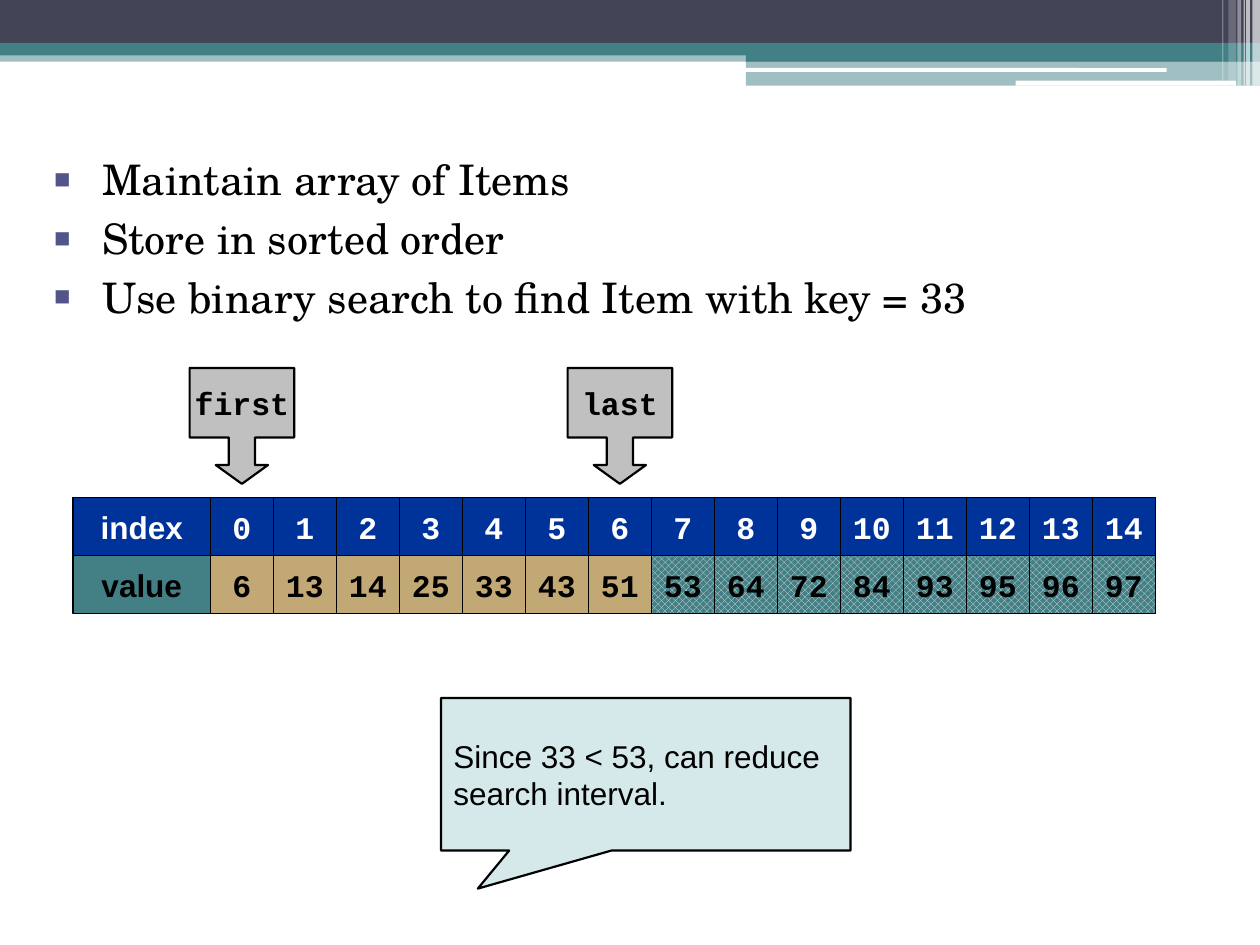
from dataclasses import dataclass

from pptx import Presentation
from pptx.dml.color import RGBColor
from pptx.enum.dml import MSO_PATTERN_TYPE as Pattern
from pptx.enum.shapes import MSO_SHAPE as Shape
from pptx.enum.text import MSO_ANCHOR as Anchor, MSO_AUTO_SIZE as AutoSize, PP_ALIGN as Align
from pptx.oxml.ns import qn
from pptx.util import Inches, Pt
from lxml.etree import SubElement

BLACK = RGBColor(0x00, 0x00, 0x00)
WHITE = RGBColor(0xFF, 0xFF, 0xFF)
SLATE = RGBColor(0x42, 0x44, 0x56)
TEAL = RGBColor(0x43, 0x80, 0x86)
NAVY = RGBColor(0x00, 0x33, 0x99)
TAN = RGBColor(0xC2, 0xA8, 0x74)
HATCH = RGBColor(0xDE, 0xDE, 0xDE)
SILVER = RGBColor(0xC0, 0xC0, 0xC0)
PALE_TEAL = RGBColor(0xD6, 0xE9, 0xEA)
BULLET = RGBColor(0x53, 0x54, 0x8A)

SANS, MONO, SERIF = "Arial", "Courier New", "TeX Gyre Schola"

VALUES = [6, 13, 14, 25, 33, 43, 51, 53, 64, 72, 84, 93, 95, 96, 97]
FIRST, LAST = 0, 6
LABEL_LEFT, LABEL_WIDTH = 0.58, 1.09
GRID_LEFT, CELL_WIDTH = 1.67, 0.5
INDEX_TOP, VALUE_TOP, CELL_HEIGHT = 3.95, 4.41, 0.46
BULLETS = [
    "Maintain array of Items",
    "Store in sorted order",
    "Use binary search to find Item with key = 33",
]


@dataclass(frozen=True)
class Frame:
    left: float
    top: float
    width: float
    height: float


@dataclass(frozen=True)
class Band:
    frame: Frame
    color: RGBColor
    opacity: int = 100
    kind: Shape = Shape.RECTANGLE


BANDS = [
    Band(Frame(0, 0.4, 10, 0.09), TEAL, 50),
    Band(Frame(0, 0, 10, 0.34), SLATE),
    Band(Frame(0, 0.34, 10, 0.1), TEAL),
    Band(Frame(5.92, 0.39, 4.08, 0.1), TEAL),
    Band(Frame(5.92, 0.48, 4.08, 0.2), TEAL, 50),
    Band(Frame(5.91, 0.54, 3.35, 0.03), WHITE, kind=Shape.ROUNDED_RECTANGLE),
    Band(Frame(8.06, 0.64, 1.75, 0.04), WHITE, kind=Shape.ROUNDED_RECTANGLE),
    Band(Frame(9.94, 0, 0.06, 0.68), WHITE, 65),
    Band(Frame(9.89, 0, 0.03, 0.68), WHITE, 65),
    Band(Frame(9.87, 0, 0.01, 0.68), WHITE, 60),
    Band(Frame(9.82, 0, 0.03, 0.68), WHITE, 40),
    Band(Frame(9.75, 0, 0.06, 0.64), WHITE, 20),
    Band(Frame(9.7, 0, 0.01, 0.64), WHITE, 30),
]


def place(box, frame: Frame) -> None:
    box.left, box.top = Inches(frame.left), Inches(frame.top)
    box.width, box.height = Inches(frame.width), Inches(frame.height)


def add_box(page, kind: Shape, frame: Frame, color: RGBColor):
    box = page.shapes.add_shape(kind, 0, 0, 0, 0)
    place(box, frame)
    box.shadow.inherit = False
    box.fill.solid()
    box.fill.fore_color.rgb = color
    return box


def draw_band(page, band: Band) -> None:
    box = add_box(page, band.kind, band.frame, band.color)
    box.line.fill.background()
    if band.opacity < 100:
        color = box.fill._xPr.find(qn("a:solidFill"))[0]
        SubElement(color, qn("a:alpha"), val=str(band.opacity * 1000))


def draw_label(page, kind: Shape, frame: Frame, text: str, fill: RGBColor, font: str,
               color: RGBColor = BLACK, line: float = 0.75, bold: bool = True,
               align: Align = Align.CENTER, wrap: bool = False):
    box = add_box(page, kind, frame, fill)
    box.line.color.rgb = BLACK
    box.line.width = Pt(line)
    box.text_frame.word_wrap = wrap
    box.text_frame.vertical_anchor = Anchor.MIDDLE
    para = box.text_frame.paragraphs[0]
    para.alignment = align
    span = para.add_run()
    span.text = text
    span.font.name, span.font.size, span.font.bold = font, Pt(18), bold
    span.font.color.rgb = color
    return box


def hatch(box) -> None:
    box.fill.patterned()
    box.fill.pattern = Pattern.OUTLINED_DIAMOND
    box.fill.fore_color.rgb = HATCH
    box.fill.back_color.rgb = TEAL


def draw_array(page) -> None:
    for text, top, fill, color in [("index", INDEX_TOP, NAVY, WHITE),
                                   ("value", VALUE_TOP, TEAL, BLACK)]:
        frame = Frame(LABEL_LEFT, top, LABEL_WIDTH, CELL_HEIGHT)
        draw_label(page, Shape.RECTANGLE, frame, text, fill, SANS, color)
    for index, value in enumerate(VALUES):
        left = GRID_LEFT + index * CELL_WIDTH
        index_frame = Frame(left, INDEX_TOP, CELL_WIDTH, CELL_HEIGHT)
        value_frame = Frame(left, VALUE_TOP, CELL_WIDTH, CELL_HEIGHT)
        draw_label(page, Shape.RECTANGLE, index_frame, str(index), NAVY, MONO, WHITE)
        cell = draw_label(page, Shape.RECTANGLE, value_frame, str(value), TAN, MONO)
        if not FIRST <= index <= LAST:
            hatch(cell)


def draw_pointer(page, text: str, index: int) -> None:
    width = 0.83
    left = GRID_LEFT + (index + 0.5) * CELL_WIDTH - width / 2
    box = draw_label(page, Shape.DOWN_ARROW_CALLOUT, Frame(left, 2.92, width, 0.92),
                     text, SILVER, MONO, line=1.25)
    for position, ratio in enumerate([0.25, 0.25, 0.18, 0.6]):
        box.adjustments[position] = ratio


def draw_remark(page) -> None:
    box = draw_label(page, Shape.RECTANGULAR_CALLOUT, Frame(3.5, 5.54, 3.25, 1.21),
                     "Since 33 < 53, can reduce search interval.", PALE_TEAL, SANS,
                     line=1.25, bold=False, align=Align.LEFT, wrap=True)
    box.adjustments[0], box.adjustments[1] = -0.41, 0.75


def add_bullet(para) -> None:
    props = para._p.get_or_add_pPr()
    props.set("marL", str(Inches(0.38)))
    props.set("indent", str(-Inches(0.38)))
    color = SubElement(props, qn("a:buClr"))
    SubElement(color, qn("a:srgbClr"), val=str(BULLET))
    SubElement(props, qn("a:buSzPct"), val="65000")
    SubElement(props, qn("a:buFont"), typeface=SANS)
    SubElement(props, qn("a:buChar"), char="■")


def fill_body(body) -> None:
    place(body, Frame(0.33, 1.17, 9.33, 1.75))
    text_frame = body.text_frame
    text_frame.word_wrap = True
    text_frame.auto_size = AutoSize.NONE
    text_frame.vertical_anchor = Anchor.TOP
    for number, text in enumerate(BULLETS):
        para = text_frame.add_paragraph() if number else text_frame.paragraphs[0]
        add_bullet(para)
        para.space_before = Pt(4.8 if number else 0)
        span = para.add_run()
        span.text = text
        span.font.name, span.font.size = SERIF, Pt(24)
        span.font.color.rgb = BLACK


def main() -> None:
    deck = Presentation()
    deck.slide_width, deck.slide_height = Inches(10), Inches(7.5)
    page = deck.slides.add_slide(deck.slide_layouts[1])
    title = page.shapes.title.element
    title.getparent().remove(title)
    for band in BANDS:
        draw_band(page, band)
    draw_array(page)
    draw_pointer(page, "last", LAST)
    draw_pointer(page, "first", FIRST)
    draw_remark(page)
    fill_body(page.placeholders[1])
    deck.save("out.pptx")


if __name__ == "__main__":
    main()
